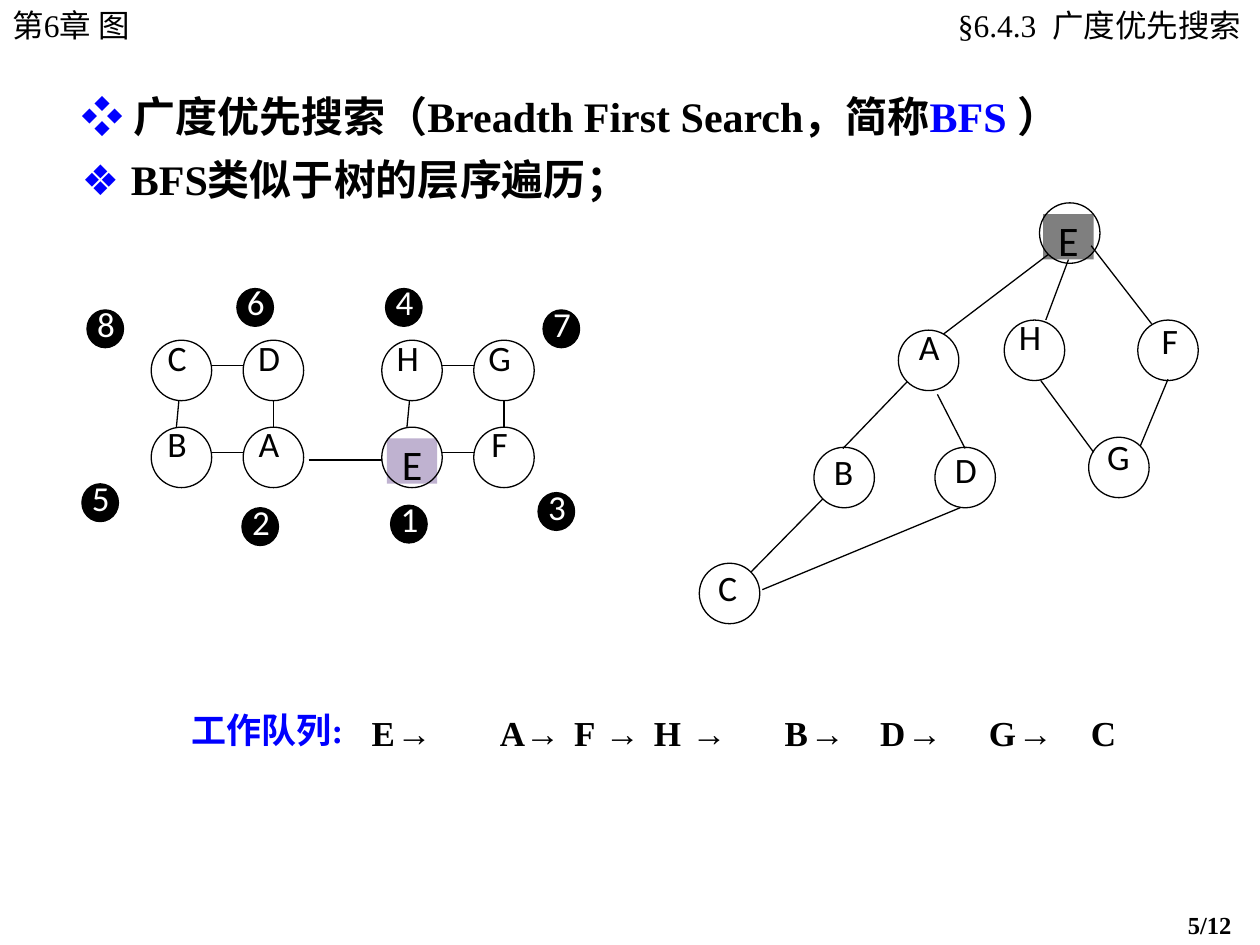
from pptx import Presentation
from pptx.dml.color import RGBColor
from pptx.enum.shapes import MSO_CONNECTOR, MSO_SHAPE
from pptx.enum.text import MSO_ANCHOR, PP_ALIGN
from pptx.oxml.ns import qn
from pptx.util import Inches, Pt
from lxml import etree

OVAL, RECT = MSO_SHAPE.OVAL, MSO_SHAPE.RECTANGLE
LINE = MSO_CONNECTOR.STRAIGHT
LEFT, MID, RIGHT = PP_ALIGN.LEFT, PP_ALIGN.CENTER, PP_ALIGN.RIGHT
TOP = MSO_ANCHOR.TOP
SERIF, SANS, MONO = "Times New Roman", "Calibri", "Courier New"
BLACK, WHITE, BLUE = "000000", "FFFFFF", "0000FF"
WIDE, HIGH = 10, 7.5
NODE = 0.48
LABEL = (0.41, 0.36)
START = (0.4, 0.36)


def tint(code):
    return RGBColor.from_string(code)


def write(shape, runs, size, font=SERIF, color=BLACK, bold=False, align=LEFT,
          wrap=True, inset=(0.1, 0.05), before=0, space=None):
    """Fill a shape with one paragraph; a run is (text, font, colour)."""
    frame = shape.text_frame
    frame.word_wrap, frame.vertical_anchor = wrap, TOP
    frame.margin_left = frame.margin_right = Inches(inset[0])
    frame.margin_top = frame.margin_bottom = Inches(inset[1])
    para = frame.paragraphs[0]
    para.alignment, para.space_before = align, Pt(before)
    if space:
        para.line_spacing = space
    para.font.size, para.font.bold = Pt(size), bold
    para.font.name, para.font.color.rgb = font, tint(color)
    for text, face, shade in runs:
        run = para.add_run()
        run.text = text
        if face != font:
            run.font.name = face
        if shade != color:
            run.font.color.rgb = tint(shade)


def plain(text, font=SERIF, color=BLACK):
    return [(text, font, color)]


def add_text(slide, box, runs, size, **style):
    write(slide.shapes.add_textbox(*map(Inches, box)), runs, size, **style)


def add_form(slide, kind, box, fill=None, line=None):
    form = slide.shapes.add_shape(kind, *map(Inches, box))
    form.shadow.inherit = False
    if fill:
        form.fill.solid()
        form.fill.fore_color.rgb = tint(fill)
    else:
        form.fill.background()
    if line:
        form.line.color.rgb, form.line.width = tint(line), Pt(0.75)
    else:
        form.line.fill.background()
    return form


def add_node(slide, x, y, name, shift=(0, 0), fill=None):
    """A letter on a tile, ringed; a filled tile marks the start."""
    size = START if fill else LABEL
    tile = add_form(slide, RECT, (x + shift[0], y + shift[1], *size), fill or WHITE)
    write(tile, plain(name, SANS), 24 if fill else 20.4, font=SANS, align=MID,
          inset=(0, 0), space=None if fill else 0.9)
    add_form(slide, OVAL, (x, y, NODE, NODE), line=BLACK)


def add_edges(slide, left, top, edges):
    for x1, y1, x2, y2 in edges:
        edge = slide.shapes.add_connector(
            LINE, Inches(left + x1), Inches(top + y1), Inches(left + x2), Inches(top + y2))
        edge.line.color.rgb, edge.line.width = tint(BLACK), Pt(0.75)
        etree.SubElement(edge._element.spPr, qn("a:effectLst"))


def add_badge(slide, x, y, digit):
    add_form(slide, OVAL, (x, y, 0.29, 0.3), BLACK, BLACK)
    add_text(slide, (x + 0.08, y - 0.06, 0.25, 0.37), plain(digit, SANS, WHITE), 20,
             font=SANS, color=WHITE, inset=(0, 0))


def add_header(slide):
    add_text(slide, (0, 0, 1.74, 0.4), plain("第6章 图"), 18, before=11.2)
    add_text(slide, (6.72, 0, 3.23, 0.4), plain("§6.4.3  广度优先搜索"), 18,
             align=RIGHT, before=11.2)


def add_points(slide, left, top, step):
    points = [
        [("广度优先搜索（Breadth First Search，简称", SERIF, BLACK),
          ("BFS ", SERIF, BLUE), ("）", SERIF, BLACK)],
        plain("BFS类似于树的层序遍历；"),
    ]
    for row, runs in enumerate(points):
        add_text(slide, (left, top + row * step, 8.75, step),
                 [("❖ ", "Arial", BLUE)] + runs, 24, bold=True)


def add_graph(slide, left, top):
    """Two squares of nodes joined by A-E, with visiting order around them."""
    pair, half, drop = 0.73, 1.83, 0.69
    edges = []
    for side, names in enumerate(("CDBA", "HGEF")):
        x = side * half
        for spot, name in enumerate(names):
            row, col = divmod(spot, 2)
            begin = name == "E"
            add_node(slide, left + x + col * pair, top + row * drop, name,
                     (0.04, 0.09) if begin else (0, 0), "BFB2D0" if begin else None)
        edges += [(x + NODE, y + 0.2, x + pair, y + 0.2) for y in (0, drop)]
        edges += [(x + 0.22, NODE, x + 0.2, drop), (x + 0.97, NODE, x + 0.97, drop)]
    add_edges(slide, left, top, edges + [(1.25, 0.95, half, 0.95)])
    order = [(1.9, 1.31), (0.72, 1.33), (3.07, 1.21), (1.86, -0.41),
             (-0.55, 1.14), (0.68, -0.41), (3.11, -0.24), (-0.51, -0.24)]
    for digit, (x, y) in enumerate(order, 1):
        add_badge(slide, left + x, top + y, str(digit))


def add_tree(slide, left, top):
    nodes = [
        ("C", 0, 2.86, (0.02, 0.06)), ("D", 1.87, 1.94, (0.04, 0.04)),
        ("B", 0.91, 1.94, (0.03, 0.06)), ("A", 1.58, 1.01, (0.04, 0)),
        ("H", 2.42, 0.93, (0, 0)), ("G", 3.09, 1.86, (0.03, 0.02)),
        ("F", 3.48, 0.93, (0.05, 0.03)), ("E", 2.7, 0, (0.03, 0.09)),
    ]
    for name, x, y, shift in nodes:
        add_node(slide, left + x, top + y, name, shift, "7F7F7F" if name == "E" else None)
    add_edges(slide, left, top, [
        (1.94, 1.04, 2.77, 0.41), (2.75, 0.93, 2.93, 0.45), (3.11, 0.34, 3.59, 0.96),
        (1.65, 1.42, 1.14, 1.95), (1.89, 1.52, 2.11, 1.95), (2.71, 1.41, 3.13, 1.98),
        (3.72, 1.4, 3.5, 1.93), (0.98, 2.35, 0.41, 2.93), (0.5, 3.07, 2.07, 2.42)])


def add_queue(slide, left, top):
    """The work queue, one box for each level or late node."""
    add_text(slide, (left, top, 1.47, 0.44), plain("工作队列:", color=BLUE), 20,
             color=BLUE, bold=True, wrap=False)
    parts = [
        (1.43, 1.09, True, ["E ", "→"]),
        (2.45, 2.27, True, ["A ", "→ ", "F  ", "→ ", "H  ", "→"]),
        (4.71, 1.64, True, ["B ", "→  ", "D ", "→"]),
        (6.33, 0.65, False, ["G ", "→"]),
        (7.14, 0.4, False, ["C"]),
    ]
    for x, width, wrap, words in parts:
        runs = [(word, MONO if "→" in word else SERIF, BLACK) for word in words]
        add_text(slide, (left + x, top + 0.03, width, 0.44), runs, 20, bold=True, wrap=wrap)


def main():
    deck = Presentation()
    deck.slide_width, deck.slide_height = Inches(WIDE), Inches(HIGH)
    slide = deck.slides.add_slide(deck.slide_layouts[6])
    add_header(slide)
    add_points(slide, 0.55, 0.67, 0.5)
    add_graph(slide, 1.2, 2.7)
    add_tree(slide, 5.55, 1.61)
    add_queue(slide, 1.42, 5.57)
    add_text(slide, (9.33, 7.17, 0.67, 0.34), plain("5/12"), 14, bold=True, before=8.8)
    deck.save("out.pptx")


if __name__ == "__main__":
    main()
